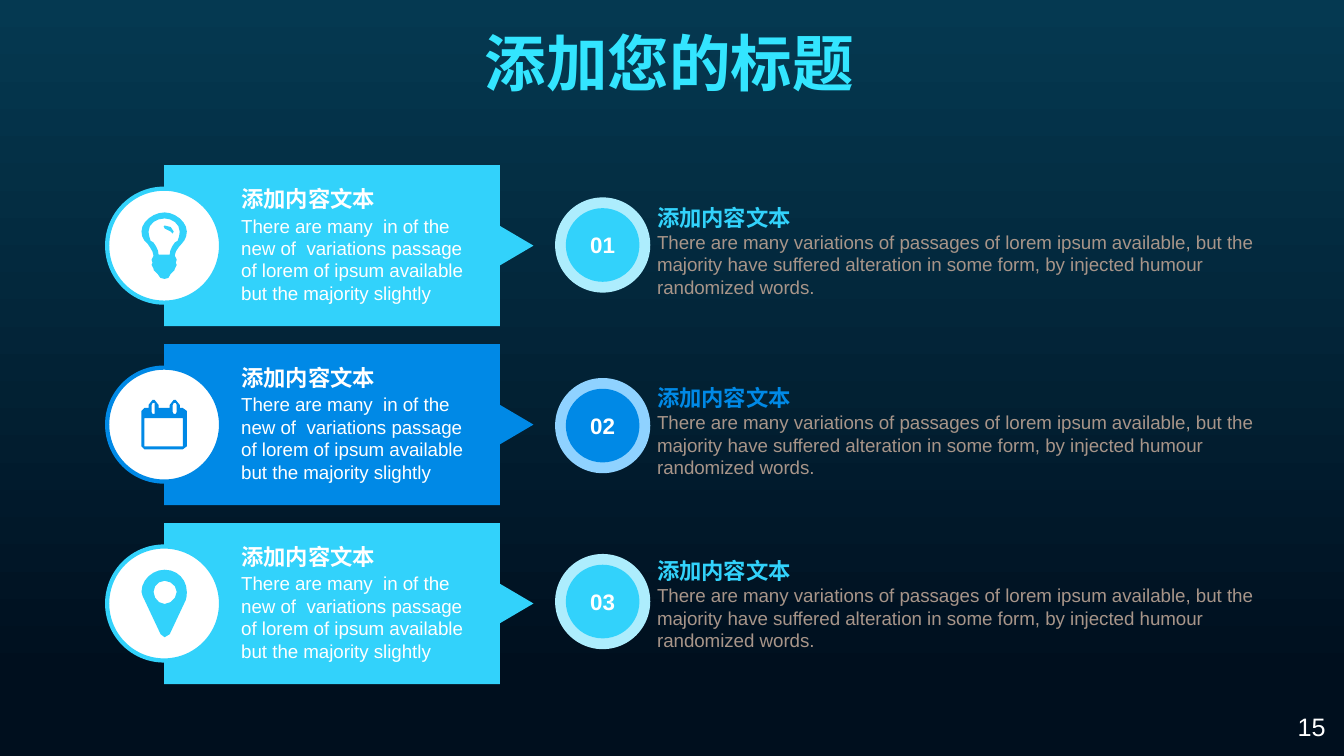
from math import dist

from pptx import Presentation
from pptx.dml.color import RGBColor
from pptx.enum.shapes import MSO_SHAPE
from pptx.enum.text import MSO_ANCHOR, PP_ALIGN
from pptx.util import Pt

RECT, OVAL, TRIANGLE = MSO_SHAPE.RECTANGLE, MSO_SHAPE.OVAL, MSO_SHAPE.ISOSCELES_TRIANGLE
TOP, MIDDLE = MSO_ANCHOR.TOP, MSO_ANCHOR.MIDDLE
LEFT, CENTER = PP_ALIGN.LEFT, PP_ALIGN.CENTER

WHITE = RGBColor(0xFF, 0xFF, 0xFF)
CYAN = RGBColor(0x32, 0xD2, 0xFB)
PALE_CYAN = RGBColor(0xAD, 0xED, 0xFD)
BLUE = RGBColor(0x00, 0x89, 0xE6)
PALE_BLUE = RGBColor(0x8F, 0xD2, 0xFF)
TITLE_CYAN = RGBColor(0x33, 0xE5, 0xFF)
TAUPE = RGBColor(0xA8, 0x95, 0x89)
BG_TOP = RGBColor(0x05, 0x39, 0x51)
BG_BOTTOM = RGBColor(0x00, 0x0F, 0x1E)

HEADING = "添加内容文本"
CARD_TEXT = ("There are many  in of the new of  variations passage of lorem "
             "of ipsum available but the majority slightly")
NOTE_TEXT = ("There are many variations of passages of lorem ipsum available, but the "
             "majority have suffered alteration in some form, by injected humour "
             "randomized words.")
BODY_SIZE = 13.33

ICON_UNIT = 0.72
ICON_WIDTH = 45
CURVE_STEP = 5
BULB = (66, [
    "40 31/37 34 33 39 33 43/34 44 35 46 35 47/35 48 34 49 34 50/35 52/"
    "35 54 34 55 33 56/33 57/33 60 31 61 29 61/28 65 26 66 23 66/20 66 17 65 16 61/"
    "14 61 12 60 12 57/12 56/11 55 10 54 10 52/11 50/11 49 10 48 10 47/"
    "10 46 11 44 12 43/12 39 8 34 6 31/2 28 0 24 0 19/0 9 12 0 23 0/33 0 45 9 45 19/"
    "45 24 43 28 40 31",
    "23 6/15 6 7 11 7 19/7 22 8 25 9 28/12 30/15 34 17 38 17 42/28 42/"
    "28 38 30 34 33 30/36 28/37 25 38 22 38 19/38 11 30 6 23 6",
    "31 21/30 21 29 20 29 19/29 17 25 16 23 16/22 16 22 15 22 14/23 13/"
    "27 13 32 15 32 19/32 20 31 21 31 21",
])
CALENDAR = (49, [
    "45 46/45 48 43 49 41 49/3 49/1 49 0 48 0 46/0 11/0 9 1 8 3 8/7 8/7 5/"
    "7 2 9 0 11 0/13 0/15 0 17 2 17 5/17 8/28 8/28 5/28 2 30 0 32 0/34 0/"
    "36 0 38 2 38 5/38 8/41 8/43 8 45 9 45 11",
    "41 46/41 18/3 18/3 46",
    "13 5/13 3/11 3/10 5/10 12/11 14/13 14/13 12",
    "35 5/34 3/32 3/31 5/31 12/32 14/34 14/35 12",
])
PIN = (67, [
    "44 30/28 64/27 66 25 67 23 67/21 67 19 66 19 64/3 30/2 28 0 24 0 22/"
    "0 10 11 0 23 0/36 0 45 10 45 22/45 24 45 28 44 30",
    "23 11/17 11 12 16 12 22/12 28 17 34 23 34/29 34 35 28 35 22/35 16 29 11 23 11",
])

ROWS = [
    ("01", BULB, CYAN, PALE_CYAN, 141, 142.2),
    ("02", CALENDAR, BLUE, PALE_BLUE, 270, 270.8),
    ("03", PIN, CYAN, PALE_CYAN, 395.7, 394.6),
]


def add_filled(s, kind, x, y, w, h, color):
    """Add a preset shape with a solid fill and no outline."""
    sp = s.shapes.add_shape(kind, Pt(x), Pt(y), Pt(w), Pt(h))
    paint(sp, color)
    return sp


def paint(sp, color):
    """Give a shape a solid fill, no outline and no shadow."""
    sp.shadow.inherit = False
    sp.fill.solid()
    sp.fill.fore_color.rgb = color
    sp.line.fill.background()


def add_disc(s, cx, cy, d, color):
    """Add a filled circle around a centre."""
    return add_filled(s, OVAL, cx - d / 2, cy - d / 2, d, d, color)


def write(tf, lines, align=LEFT):
    """Fill a text frame with paragraphs of (text, size, colour, bold)."""
    for i, (text, size, color, bold) in enumerate(lines):
        p = tf.add_paragraph() if i else tf.paragraphs[0]
        p.text = text
        p.alignment = align
        p.font.name = "Arial"
        p.font.size = Pt(size)
        p.font.bold = bold
        p.font.color.rgb = color


def add_text(s, x, y, w, h, lines, align=LEFT, anchor=TOP, inset=True, wrap=True):
    """Add a text box."""
    tf = s.shapes.add_textbox(Pt(x), Pt(y), Pt(w), Pt(h)).text_frame
    tf.word_wrap = wrap
    tf.vertical_anchor = anchor
    if not inset:
        tf.margin_left = tf.margin_right = tf.margin_top = tf.margin_bottom = 0
    write(tf, lines, align)


def trace(contour):
    """Turn a contour of lines and cubic curves into a short list of points."""
    points = []
    for step in contour.split("/"):
        n = [float(v) for v in step.split()]
        pairs = list(zip(n[::2], n[1::2]))
        if len(pairs) == 1:
            points += pairs
            continue
        curve = list(zip(points[-1], *pairs))
        count = max(1, round(dist(points[-1], pairs[-1]) / CURVE_STEP))
        for k in range(1, count + 1):
            t = k / count
            u = 1 - t
            points.append(tuple(u**3 * a + 3 * u * u * t * b + 3 * u * t * t * c + t**3 * d
                                for a, b, c, d in curve))
    return points


def add_icon(s, cx, cy, icon, color):
    """Draw an icon as one freeform around a centre."""
    height, contours = icon
    builder = None
    for contour in contours:
        start, *rest = [(Pt(cx + (x - ICON_WIDTH / 2) * ICON_UNIT),
                         Pt(cy + (y - height / 2) * ICON_UNIT)) for x, y in trace(contour)]
        if builder is None:
            builder = s.shapes.build_freeform(*start)
        else:
            builder.move_to(*start)
        builder.add_line_segments(rest, close=True)
    paint(builder.convert_to_shape(), color)


def add_card(s, x, y, w, h, icon, color):
    """Add a coloured card with its arrow, text and icon badge."""
    cy = y + h / 2
    add_filled(s, RECT, x, y, w, h, color)
    arrow = add_filled(s, TRIANGLE, x + w - 2.7, cy - 12.25, 28.8, 24.5, color)
    arrow.rotation = 90
    add_text(s, x + 55.1, y + 14.4, 98, 19.5, [(HEADING, 16, WHITE, True)],
             anchor=MIDDLE, inset=False, wrap=False)
    add_text(s, x + 55.1, y + 35.1, 168, 65, [(CARD_TEXT, BODY_SIZE, WHITE, False)],
             inset=False)
    badge = add_disc(s, x, cy, 81.4, WHITE)
    badge.line.color.rgb = color
    badge.line.width = Pt(3)
    add_icon(s, x, cy, icon, color)


def add_note(s, x, y, text_y, number, color, pale):
    """Add a ringed number with a heading and text beside it."""
    d = 68
    add_disc(s, x + d / 2, y + d / 2, d, pale)
    tf = add_disc(s, x + d / 2, y + d / 2, 52.6, color).text_frame
    tf.vertical_anchor = MIDDLE
    write(tf, [(number, 16, WHITE, True)], CENTER)
    add_text(s, x + 65.8, text_y, 442, 75,
             [(HEADING, 16, color, True), (NOTE_TEXT, BODY_SIZE, TAUPE, False)])


def add_background(s):
    """Fill the slide with a vertical gradient."""
    fill = s.background.fill
    fill.gradient()
    fill.gradient_angle = 270
    for stop, color, position in zip(fill.gradient_stops, (BG_TOP, BG_BOTTOM), (0, 0.9)):
        stop.color.rgb = color
        stop.position = position


def main():
    """Build and save the slide."""
    prs = Presentation()
    prs.slide_width, prs.slide_height = Pt(960.5), Pt(540)
    s = prs.slides.add_slide(prs.slide_layouts[6])
    add_background(s)
    add_text(s, 200.5, 14.4, 556, 60.5, [("添加您的标题", 44, TITLE_CYAN, True)], CENTER)
    for i, (number, icon, color, pale, ring_y, text_y) in enumerate(ROWS):
        add_card(s, 117.3, 118 + 127.8 * i, 240, 115, icon, color)
        add_note(s, 396.7, ring_y, text_y, number, color, pale)
    add_text(s, 920.3, 504.7, 40.2, 29, [("15", 18, WHITE, False)])
    prs.save("out.pptx")


if __name__ == "__main__":
    main()
